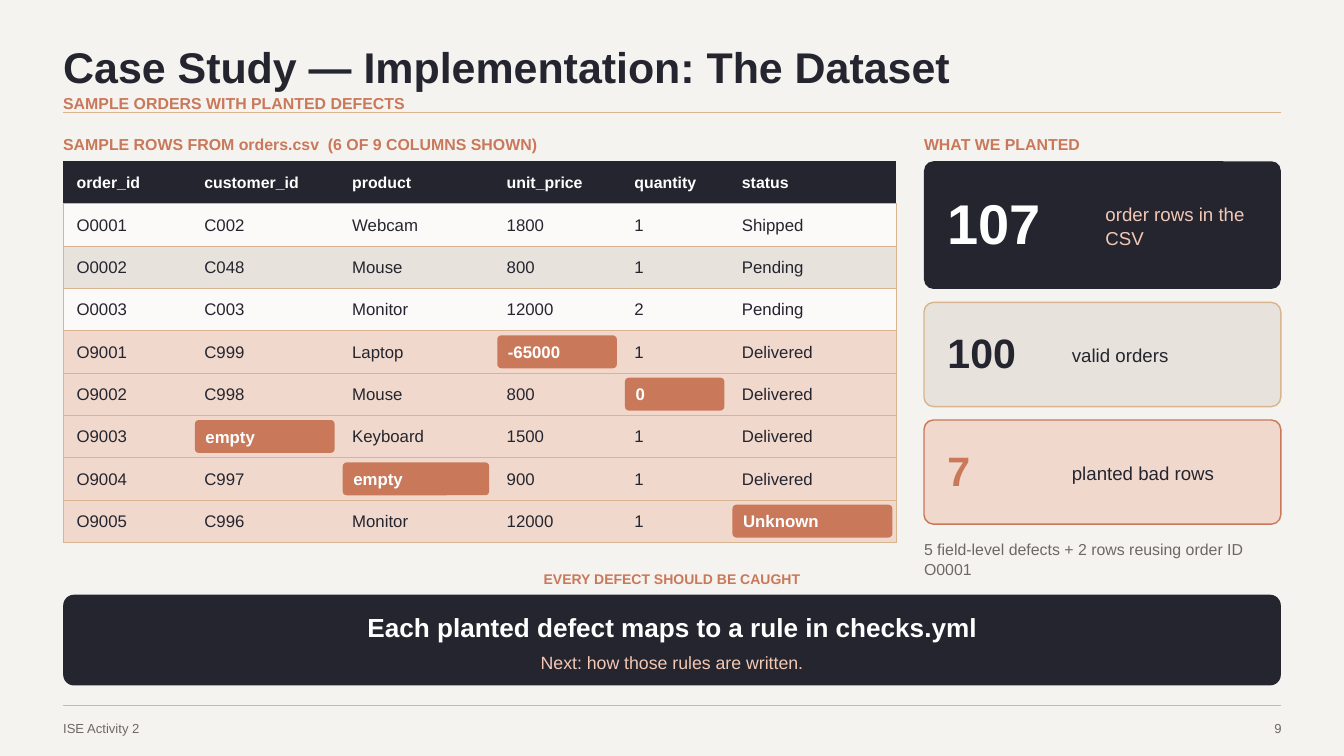
import lxml.etree
import pptx
import pptx.dml.color
import pptx.enum.shapes
import pptx.enum.text
import pptx.oxml.ns
import pptx.util

Inches, Pt = pptx.util.Inches, pptx.util.Pt
rgb = pptx.dml.color.RGBColor.from_string
qn = pptx.oxml.ns.qn
Align = pptx.enum.text.PP_ALIGN
Anchor = pptx.enum.text.MSO_ANCHOR
Kind = pptx.enum.shapes.MSO_SHAPE

DARK, RUST, GOLD, GRAY = "24252F", "C9785A", "D8B58F", "6E6863"
PALE, SAND, BLUSH, PEACH, WHITE = "FCFAF8", "E8E2DC", "F1D8CC", "F3C8B5", "FFFFFF"
LEFT, WIDE = 0.94, 18.12
SIDE, SPAN = 13.75, 5.31


def write(par, text, size, pitch, color, bold=False, align=Align.LEFT):
    """Fill a paragraph; pitch is the exact line spacing in points."""
    par.text = text
    par.alignment = align
    par.line_spacing = Pt(pitch)
    par.font.name = "Arial"
    par.font.size = Pt(size)
    par.font.bold = bold
    par.font.color.rgb = rgb(color)


def card(x, y, w, h, radius, fill, line=None):
    """Add a rounded box with a corner radius in inches."""
    box = slide.shapes.add_shape(
        Kind.ROUNDED_RECTANGLE, Inches(x), Inches(y), Inches(w), Inches(h))
    box.adjustments[0] = radius / h
    box.shadow.inherit = False
    box.fill.solid()
    box.fill.fore_color.rgb = rgb(fill)
    if line:
        box.line.color.rgb = rgb(line)
        box.line.width = Pt(1.5)
    else:
        box.line.fill.background()
    frame = box.text_frame
    frame.margin_top = frame.margin_bottom = frame.margin_right = 0
    return box


deck = pptx.Presentation()
deck.slide_width, deck.slide_height = Inches(20), Inches(11.25)
slide = deck.slides.add_slide(deck.slide_layouts[5])
slide.background.fill.solid()
slide.background.fill.fore_color.rgb = rgb("F5F3F0")

# Title and rules
title = slide.shapes.title
title.left, title.top = Inches(LEFT), Inches(0.47)
title.width, title.height = Inches(17.2), Inches(0.86)
frame = title.text_frame
frame.auto_size = pptx.enum.text.MSO_AUTO_SIZE.NONE
frame.vertical_anchor = Anchor.TOP
frame.margin_left = frame.margin_right = frame.margin_top = frame.margin_bottom = 0
write(frame.paragraphs[0], "Case Study — Implementation: The Dataset", 46, 64.4, DARK, True)

for y in (1.67, 10.5):
    rule = slide.shapes.add_connector(
        pptx.enum.shapes.MSO_CONNECTOR.STRAIGHT,
        Inches(LEFT), Inches(y), Inches(LEFT + WIDE), Inches(y))
    rule.line.color.rgb = rgb(GOLD)
    rule.line.width = Pt(1.5)
    lxml.etree.SubElement(rule._element.spPr, qn("a:effectLst"))

# Table of sample rows
heads = ["order_id", "customer_id", "product", "unit_price", "quantity", "status"]
widths = [1.9, 2.2, 2.3, 1.9, 1.6, 2.5]
orders = [
    ["O0001", "C002", "Webcam", "1800", "1", "Shipped"],
    ["O0002", "C048", "Mouse", "800", "1", "Pending"],
    ["O0003", "C003", "Monitor", "12000", "2", "Pending"],
    ["O9001", "C999", "Laptop", "-65000", "1", "Delivered"],
    ["O9002", "C998", "Mouse", "800", "0", "Delivered"],
    ["O9003", "empty", "Keyboard", "1500", "1", "Delivered"],
    ["O9004", "C997", "empty", "900", "1", "Delivered"],
    ["O9005", "C996", "Monitor", "12000", "1", "Unknown"],
]
defects = {(4, 3), (5, 4), (6, 1), (7, 2), (8, 5)}
fills = [DARK, PALE, SAND, PALE] + [BLUSH] * 5
TOP, STEP = 2.4, 0.63
last = len(heads) - 1

table = slide.shapes.add_table(
    len(fills), len(heads), Inches(LEFT), Inches(TOP),
    Inches(sum(widths)), Inches(STEP * len(fills))).table
for col, width in zip(table.columns, widths):
    col.width = Inches(width)
for row in table.rows:
    row.height = Inches(STEP)

for r, texts in enumerate([heads] + orders):
    for c, text in enumerate(texts):
        cell = table.cell(r, c)
        cell.margin_left = Inches(0.2)
        cell.margin_right = cell.margin_top = cell.margin_bottom = 0
        cell.vertical_anchor = Anchor.MIDDLE
        edges = {"lnL": r and c == 0, "lnR": r and c == last, "lnT": r, "lnB": True}
        for tag, shown in edges.items():
            edge = lxml.etree.SubElement(
                cell._tc.get_or_add_tcPr(), qn("a:" + tag), w=str(Pt(0.75)))
            if shown:
                paint = lxml.etree.SubElement(edge, qn("a:solidFill"))
                lxml.etree.SubElement(paint, qn("a:srgbClr"), val=GOLD)
            else:
                lxml.etree.SubElement(edge, qn("a:noFill"))
        cell.fill.solid()
        cell.fill.fore_color.rgb = rgb(fills[r])

        par = cell.text_frame.paragraphs[0]
        if r == 0:
            write(par, text, 17, 20.4, WHITE, True)
        elif (r, c) in defects:
            pill = card(LEFT + sum(widths[:c]) + 0.06, TOP + STEP * r + 0.07,
                        widths[c] - 0.12, STEP - 0.14, 0.06, RUST)
            pill.text_frame.margin_left = Inches(0.14)
            write(pill.text_frame.paragraphs[0], text, 18, 21.6, WHITE, True)
        else:
            write(par, text, 18, 21.6, DARK)

# Count cards: top, height, fill, line, number, size, colour, label, colour, label left, pad
counts = [
    (2.4, 1.9, DARK, None, "107", 60, WHITE, "order rows in the CSV", PEACH, 16.45, 0.15),
    (4.5, 1.55, SAND, GOLD, "100", 44, DARK, "valid orders", DARK, 15.95, 0.1),
    (6.25, 1.55, BLUSH, RUST, "7", 44, RUST, "planted bad rows", DARK, 15.95, 0.1),
]
for y, h, fill, line, count, size, tint, label, ink, x, pad in counts:
    card(SIDE, y, SPAN, h, 0.14, fill, line)
    parts = [(14.1, x - 14.15, count, size, size * 1.1, tint, True),
             (x, 18.76 - x, label, 20, 26, ink, False)]
    for left, width, *style in parts:
        box = slide.shapes.add_textbox(
            Inches(left), Inches(y + pad), Inches(width), Inches(h - 2 * pad))
        frame = box.text_frame
        frame.word_wrap = True
        frame.vertical_anchor = Anchor.MIDDLE
        frame.margin_left = frame.margin_right = frame.margin_top = frame.margin_bottom = 0
        write(frame.paragraphs[0], *style)

# Headings, note and footer
labels = [
    (LEFT, 1.34, 12, 0.31, "SAMPLE ORDERS WITH PLANTED DEFECTS", 17, 23.8, RUST, True),
    (LEFT, 1.95, 12, 0.32, "SAMPLE ROWS FROM orders.csv  (6 OF 9 COLUMNS SHOWN)",
     17, 23.8, RUST, True),
    (SIDE, 1.95, SPAN, 0.32, "WHAT WE PLANTED", 17, 23.8, RUST, True),
    (SIDE, 8, SPAN, 0.7, "5 field-level defects + 2 rows reusing order ID O0001",
     17, 22.1, GRAY),
    (LEFT, 8.45, WIDE, 0.32, "EVERY DEFECT SHOULD BE CAUGHT",
     15, 21, RUST, True, Align.CENTER),
    (LEFT, 10.68, 2.6, 0.26, "ISE Activity 2", 14, 19.6, GRAY),
    (18.65, 10.68, 0.42, 0.26, "9", 14, 19.6, GRAY, False, Align.RIGHT),
]
for x, y, w, h, *style in labels:
    frame = slide.shapes.add_textbox(Inches(x), Inches(y), Inches(w), Inches(h)).text_frame
    frame.word_wrap = True
    frame.margin_left = frame.margin_right = frame.margin_top = frame.margin_bottom = 0
    write(frame.paragraphs[0], *style)

# Closing banner
frame = card(LEFT, 8.85, WIDE, 1.35, 0.16, DARK).text_frame
frame.vertical_anchor = Anchor.TOP
frame.margin_left = 0
frame.margin_top = Inches(0.12)
write(frame.paragraphs[0], "Each planted defect maps to a rule in checks.yml",
      28, 39.2, WHITE, True, Align.CENTER)
par = frame.add_paragraph()
write(par, "Next: how those rules are written.", 19, 26.6, PEACH, False, Align.CENTER)
par.space_before = Pt(6)

deck.save("out.pptx")
